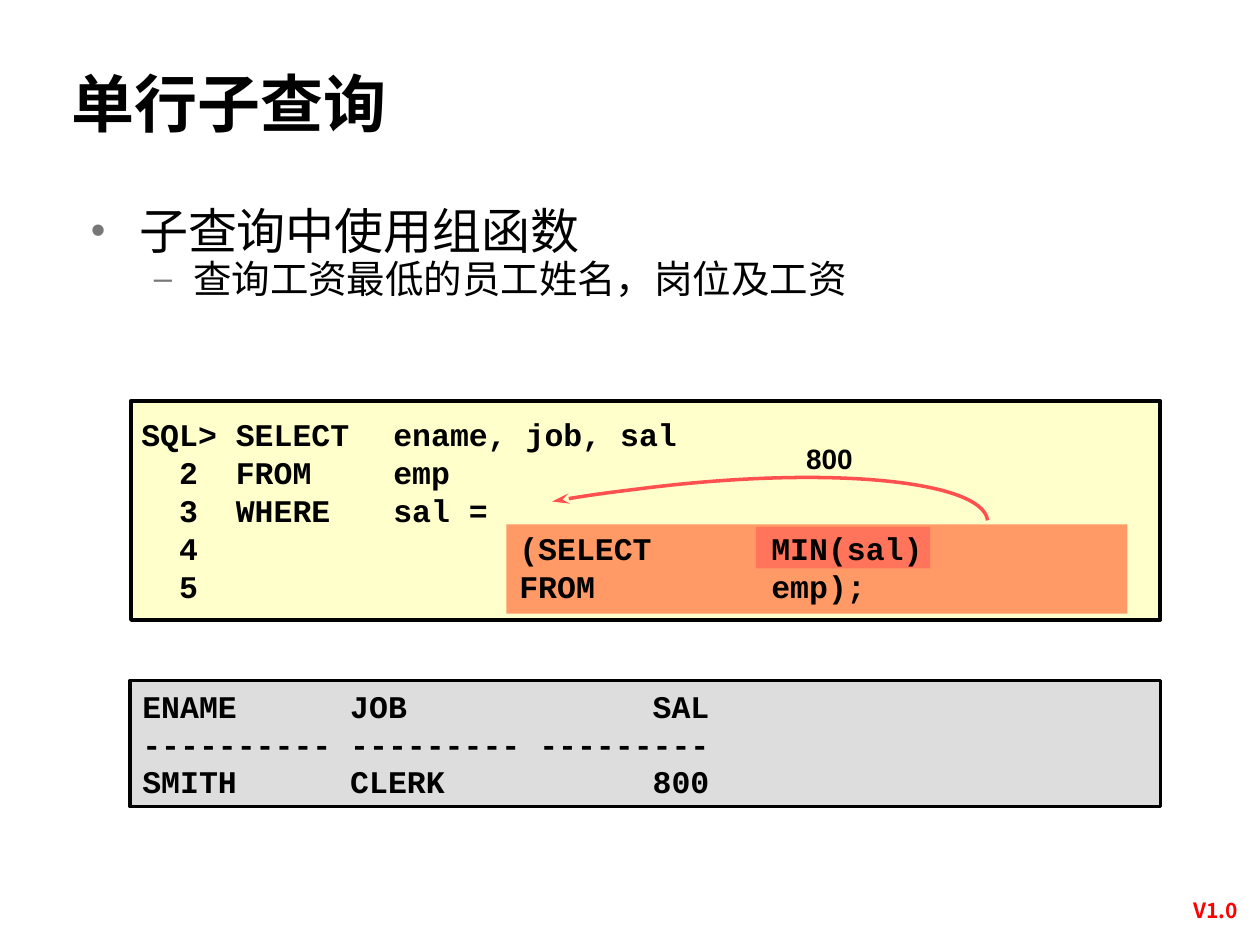
import dataclasses

import pptx
import pptx.dml.color
import pptx.enum.shapes
import pptx.enum.text
import pptx.oxml
import pptx.oxml.ns
import pptx.util
from pptx.util import Cm


@dataclasses.dataclass(frozen=True)
class Theme:
    ink: str = "000000"
    code_fill: str = "FFFFCC"
    subquery_fill: str = "FF9966"
    accent: str = "FF5050"
    result_fill: str = "DDDDDD"
    bullet: str = "777777"
    version: str = "FF0000"
    heading_font: str = "Noto Sans CJK SC"
    code_font: str = "Courier New"
    label_font: str = "Arial"
    title_size: int = 36
    topic_size: int = 28
    detail_size: int = 22
    code_size: int = 18
    label_size: int = 16
    version_size: int = 12
    code_leading: float = 21.6
    outline: int = 2


theme = Theme()
qn = pptx.oxml.ns.qn


def format_text(para, font, size, color, bold):
    for span in para.runs:
        span.font.name = font
        span.font.size = pptx.util.Pt(size)
        span.font.bold = bold
        span.font.color.rgb = pptx.dml.color.RGBColor.from_string(color)
        east_asian = span.font._element.makeelement(qn("a:ea"), {"typeface": font})
        span.font._element.find(qn("a:latin")).addnext(east_asian)


def add_panel(left, top, width, height, fill, outlined):
    panel = page.shapes.add_shape(
        pptx.enum.shapes.MSO_SHAPE.RECTANGLE, Cm(left), Cm(top), Cm(width), Cm(height)
    )
    panel.shadow.inherit = False
    panel.fill.solid()
    panel.fill.fore_color.rgb = pptx.dml.color.RGBColor.from_string(fill)
    if outlined:
        panel.line.color.rgb = pptx.dml.color.RGBColor.from_string(theme.ink)
        panel.line.width = pptx.util.Pt(theme.outline)
    else:
        panel.line.fill.background()
    return panel


deck = pptx.Presentation()
deck.slide_width, deck.slide_height = Cm(25.4), Cm(19.05)
page = deck.slides.add_slide(deck.slide_layouts[1])

title = page.shapes.title
title.left, title.top, title.width, title.height = Cm(1.18), Cm(1.11), Cm(21.34), Cm(1.9)
title.text_frame.text = "单行子查询"
title.text_frame.auto_size = pptx.enum.text.MSO_AUTO_SIZE.NONE
title.text_frame.vertical_anchor = pptx.enum.text.MSO_ANCHOR.MIDDLE
heading = title.text_frame.paragraphs[0]
heading.alignment = pptx.enum.text.PP_ALIGN.LEFT
format_text(heading, theme.heading_font, theme.title_size, theme.ink, True)

body = page.placeholders[1]
body.left, body.top, body.width, body.height = Cm(1.58), Cm(3.91), Cm(22.63), Cm(2.64)
body.text_frame.text = "子查询中使用组函数\n查询工资最低的员工姓名，岗位及工资"
body.text_frame.auto_size = pptx.enum.text.MSO_AUTO_SIZE.NONE
bullets = [
    (0, "•", 0.97, 0.97, theme.topic_size, 1.0),
    (1, "–", 2.06, 0.79, theme.detail_size, 0.92),
]
for para, (level, mark, margin, hanging, size, spacing) in zip(body.text_frame.paragraphs, bullets):
    para.level = level
    para.line_spacing = spacing
    para.space_before = pptx.util.Pt(0)
    format_text(para, theme.heading_font, size, theme.ink, False)
    properties = para._p.get_or_add_pPr()
    properties.set("marL", str(Cm(margin)))
    properties.set("indent", str(-Cm(hanging)))
    bullet_color = properties.makeelement(qn("a:buClr"), {})
    bullet_color.append(properties.makeelement(qn("a:srgbClr"), {"val": theme.bullet}))
    properties.append(bullet_color)
    properties.append(properties.makeelement(qn("a:buSzPct"), {"val": "85000"}))
    properties.append(properties.makeelement(qn("a:buFont"), {"typeface": theme.label_font}))
    properties.append(properties.makeelement(qn("a:buChar"), {"char": mark}))

add_panel(2.64, 8.08, 20.75, 4.42, theme.code_fill, True)
add_panel(10.21, 10.57, 12.52, 1.8, theme.subquery_fill, False)
highlight = add_panel(15.24, 10.62, 3.51, 0.84, theme.accent, False)
highlight_color = highlight._element.spPr.find(qn("a:solidFill"))[0]
highlight_color.append(highlight_color.makeelement(qn("a:alpha"), {"val": "50000"}))

curve_points = [
    (11.13, 10.11), (11.68, 10.01), (12.27, 9.93), (12.85, 9.86),
    (16.64, 9.37), (19.81, 9.68), (19.91, 10.49),
]
builder = page.shapes.build_freeform(Cm(curve_points[0][0]), Cm(curve_points[0][1]))
builder.add_line_segments([(Cm(x), Cm(y)) for x, y in curve_points[1:]], close=False)
arrow = builder.convert_to_shape()
arrow.shadow.inherit = False
arrow.fill.background()
arrow.line.color.rgb = pptx.dml.color.RGBColor.from_string(theme.accent)
arrow.line.width = pptx.util.Pt(theme.outline)
segments = list(arrow._element.iter(qn("a:lnTo")))
for first in range(0, len(segments), 3):
    bezier = segments[first].makeelement(qn("a:cubicBezTo"), {})
    segments[first].addprevious(bezier)
    for segment in segments[first:first + 3]:
        bezier.append(segment[0])
        segment.getparent().remove(segment)
outline = arrow.line._get_or_add_ln()
outline.append(outline.makeelement(qn("a:headEnd"), {"type": "stealth", "len": "lg"}))

label = page.shapes.add_textbox(Cm(16), Cm(8.64), Cm(1.45), Cm(1.07))
label.text_frame.text = "800"
label.text_frame.word_wrap = False
label.text_frame.paragraphs[0].line_spacing = 1.2
format_text(label.text_frame.paragraphs[0], theme.label_font, theme.label_size, theme.ink, True)

result = add_panel(2.62, 13.72, 20.78, 2.54, theme.result_fill, True)
records = [("ENAME", "JOB", "SAL"), ("-" * 10, "-" * 9, "-" * 9), ("SMITH", "CLERK", "800")]
result.text_frame.text = "\n".join(f"{name:<10} {job:<9} {salary:>9}" for name, job, salary in records)

query = page.shapes.add_textbox(Cm(2.6), Cm(8.03), Cm(20.29), Cm(4.5))
statement = [
    "SQL> SELECT\tename, job, sal",
    f"{2:>3}  FROM\temp",
    f"{3:>3}  WHERE\tsal =",
    f"{4:>3}\t\t\t(SELECT\tMIN(sal)",
    f"{5:>3}\t\t\tFROM\t\temp);",
]
query.text_frame.text = "\n".join(statement)

tab_stops = [3.33] + [2.54 * column for column in range(2, 6)]
for box in (result, query):
    box.text_frame.word_wrap = True
    box.text_frame.vertical_anchor = pptx.enum.text.MSO_ANCHOR.MIDDLE
    for para in box.text_frame.paragraphs:
        para.alignment = pptx.enum.text.PP_ALIGN.LEFT
        para.line_spacing = pptx.util.Pt(theme.code_leading)
        format_text(para, theme.code_font, theme.code_size, theme.ink, True)
        properties = para._p.get_or_add_pPr()
        tabs = properties.makeelement(qn("a:tabLst"), {})
        for stop in tab_stops:
            tabs.append(properties.makeelement(qn("a:tab"), {"pos": str(Cm(stop)), "algn": "l"}))
        properties.append(tabs)

version = page.shapes.add_textbox(Cm(23.5), Cm(17.96), Cm(2), Cm(0.76))
version.text_frame.text = "V1.0"
version.text_frame.word_wrap = False
version.text_frame.margin_top = version.text_frame.margin_bottom = Cm(0)
version.text_frame.vertical_anchor = pptx.enum.text.MSO_ANCHOR.MIDDLE
version.text_frame.paragraphs[0].alignment = pptx.enum.text.PP_ALIGN.CENTER
format_text(version.text_frame.paragraphs[0], theme.heading_font, theme.version_size, theme.version, True)

deck.save("out.pptx")
